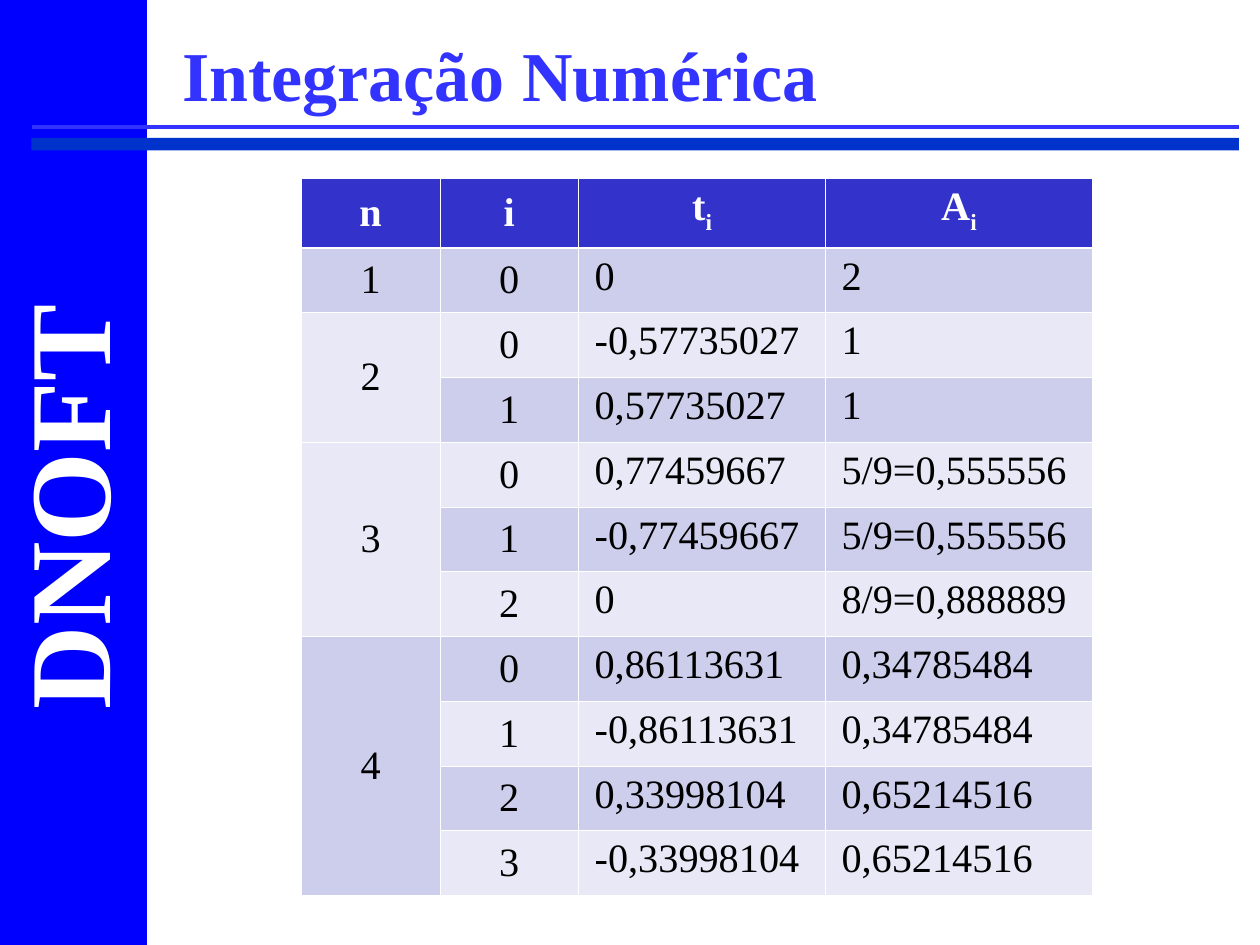
from pptx import Presentation
from pptx.dml.color import RGBColor
from pptx.enum.shapes import MSO_CONNECTOR, MSO_SHAPE
from pptx.enum.text import MSO_ANCHOR, PP_ALIGN
from pptx.oxml import parse_xml
from pptx.oxml.ns import nsdecls
from pptx.util import Pt

RECTANGLE = MSO_SHAPE.RECTANGLE
STRAIGHT = MSO_CONNECTOR.STRAIGHT
TOP, MIDDLE = MSO_ANCHOR.TOP, MSO_ANCHOR.MIDDLE
LEFT, CENTER = PP_ALIGN.LEFT, PP_ALIGN.CENTER

FONT = "Times New Roman"
WHITE = RGBColor(0xFF, 0xFF, 0xFF)
BLACK = RGBColor(0x00, 0x00, 0x00)
SIDE_BLUE = RGBColor(0x00, 0x00, 0xFF)
BAR_BLUE = RGBColor(0x00, 0x33, 0xCC)
TITLE_BLUE = RGBColor(0x33, 0x33, 0xFF)
HEADER_BLUE = RGBColor(0x33, 0x33, 0xCC)
BANDS = [RGBColor(0xE8, 0xE8, 0xF6), RGBColor(0xCD, 0xCD, 0xEC)]


def write(frame, text, size=23, color=BLACK, bold=False, align=LEFT, subscript=""):
    para = frame.paragraphs[0]
    para.alignment = align
    for part in filter(None, (text, subscript)):
        span = para.add_run()
        span.text = part
        span.font.name = FONT
        span.font.size = Pt(size)
        span.font.bold = bold
        span.font.color.rgb = color
    if subscript:
        span._r.get_or_add_rPr().set("baseline", "-25000")


def add_border(cell, side, width):
    cell._tc.get_or_add_tcPr().append(parse_xml(
        f'<a:ln{side} {nsdecls("a")} w="{Pt(width)}"><a:solidFill>'
        f'<a:srgbClr val="{WHITE}"/></a:solidFill></a:ln{side}>'))


deck = Presentation()
deck.slide_width, deck.slide_height = Pt(720), Pt(540)
page = deck.slides.add_slide(deck.slide_layouts[6])

# Side band and title bar
for left, top, width, height, color in [
    (0, 0, 84, 540, SIDE_BLUE),
    (18, 78.75, 690, 7.2, BAR_BLUE),
]:
    band = page.shapes.add_shape(RECTANGLE, Pt(left), Pt(top), Pt(width), Pt(height))
    band.shadow.inherit = False
    band.fill.solid()
    band.fill.fore_color.rgb = color
    band.line.fill.background()

# Thin rule above the bar
rule = page.shapes.add_connector(STRAIGHT, Pt(18), Pt(72.6), Pt(708), Pt(72.6))
rule.line.color.rgb = TITLE_BLUE
rule.line.width = Pt(2.25)
rule._element.spPr.append(parse_xml(f'<a:effectLst {nsdecls("a")}/>'))

# Vertical name
side_box = page.shapes.add_textbox(Pt(-88), Pt(244), Pt(250), Pt(86.4))
side_box.rotation = 270
side_box.text_frame.word_wrap = True
write(side_box.text_frame, "DNOFT", size=66, color=WHITE, bold=True)

# Title
title_box = page.shapes.add_textbox(Pt(97.2), Pt(6), Pt(611), Pt(72))
title_box.text_frame.word_wrap = True
title_box.text_frame.vertical_anchor = MIDDLE
write(title_box.text_frame, "Integração Numérica", size=40, color=TITLE_BLUE, bold=True)

# Nodes and weights for each n
headers = [("n", ""), ("i", ""), ("t", "i"), ("A", "i")]
groups = {
    "1": [("0", "2")],
    "2": [("-0,57735027", "1"), ("0,57735027", "1")],
    "3": [("0,77459667", "5/9=0,555556"), ("-0,77459667", "5/9=0,555556"),
          ("0", "8/9=0,888889")],
    "4": [("0,86113631", "0,34785484"), ("-0,86113631", "0,34785484"),
          ("0,33998104", "0,65214516"), ("-0,33998104", "0,65214516")],
}
rows = [(n if i == 0 else "", str(i), node, weight)
        for n, pairs in groups.items()
        for i, (node, weight) in enumerate(pairs)]

# Table grid
widths = [79.2, 79.2, 141.1, 152.6]
heights = [40] + [37] * len(rows)
table = page.shapes.add_table(len(heights), len(widths), Pt(172.2), Pt(101.7),
                              Pt(sum(widths)), Pt(sum(heights))).table
for column, width in zip(table.columns, widths):
    column.width = Pt(width)
for row, height in zip(table.rows, heights):
    row.height = Pt(height)

# Cell format and text
for r in range(len(heights)):
    for c in range(len(widths)):
        cell = table.cell(r, c)
        cell.margin_left = cell.margin_right = Pt(9.2)
        cell.margin_top = cell.margin_bottom = Pt(3.6)
        cell.vertical_anchor = MIDDLE if c < 2 else TOP
        for side in "LRTB":
            heavy = (r, side) in [(0, "B"), (1, "T")]
            add_border(cell, side, 1.47 if heavy else 0.45)
        cell.fill.solid()
        cell.fill.fore_color.rgb = BANDS[r % 2] if r else HEADER_BLUE
        if r == 0:
            text, subscript = headers[c]
            write(cell.text_frame, text, color=WHITE, bold=True, align=CENTER,
                  subscript=subscript)
        else:
            write(cell.text_frame, rows[r - 1][c], align=CENTER if c < 2 else LEFT)

# Join the n cells of each group
first = 1
for pairs in groups.values():
    last = first + len(pairs) - 1
    if last > first:
        table.cell(first, 0).merge(table.cell(last, 0))
    first = last + 1

deck.save("out.pptx")
